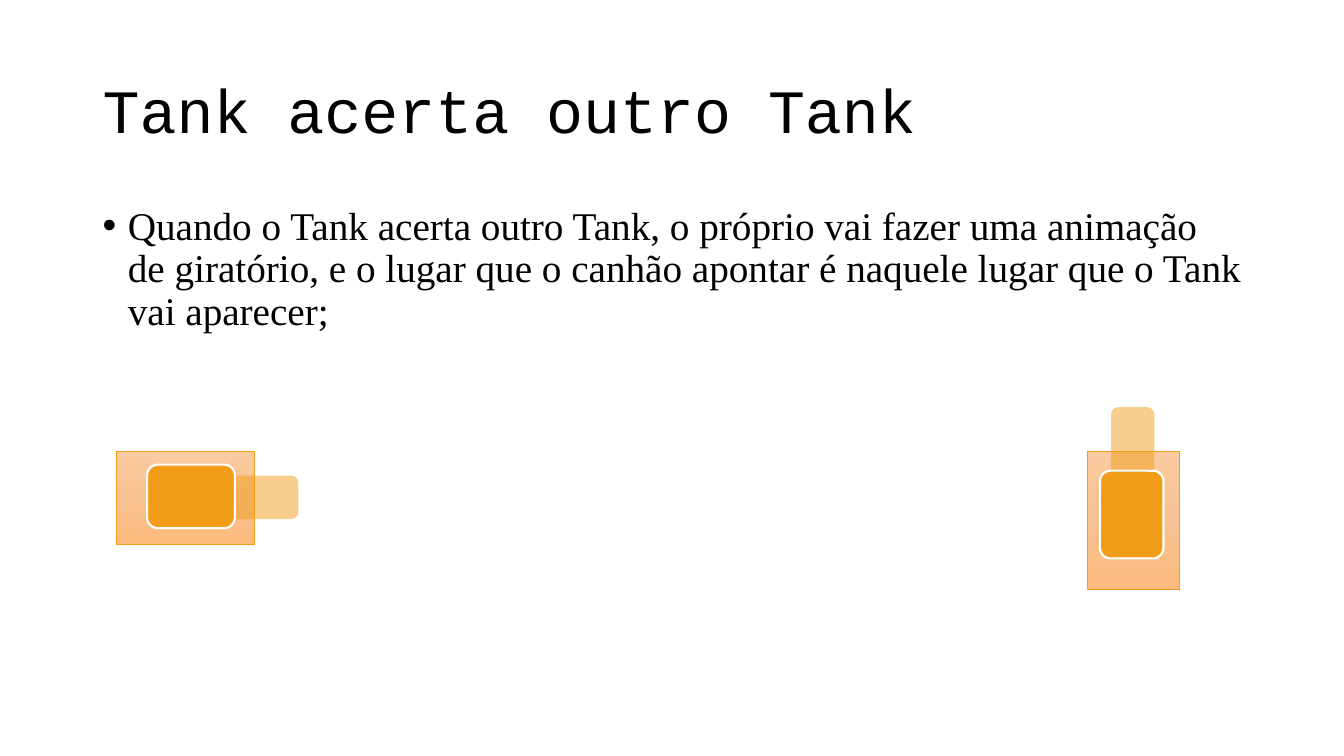
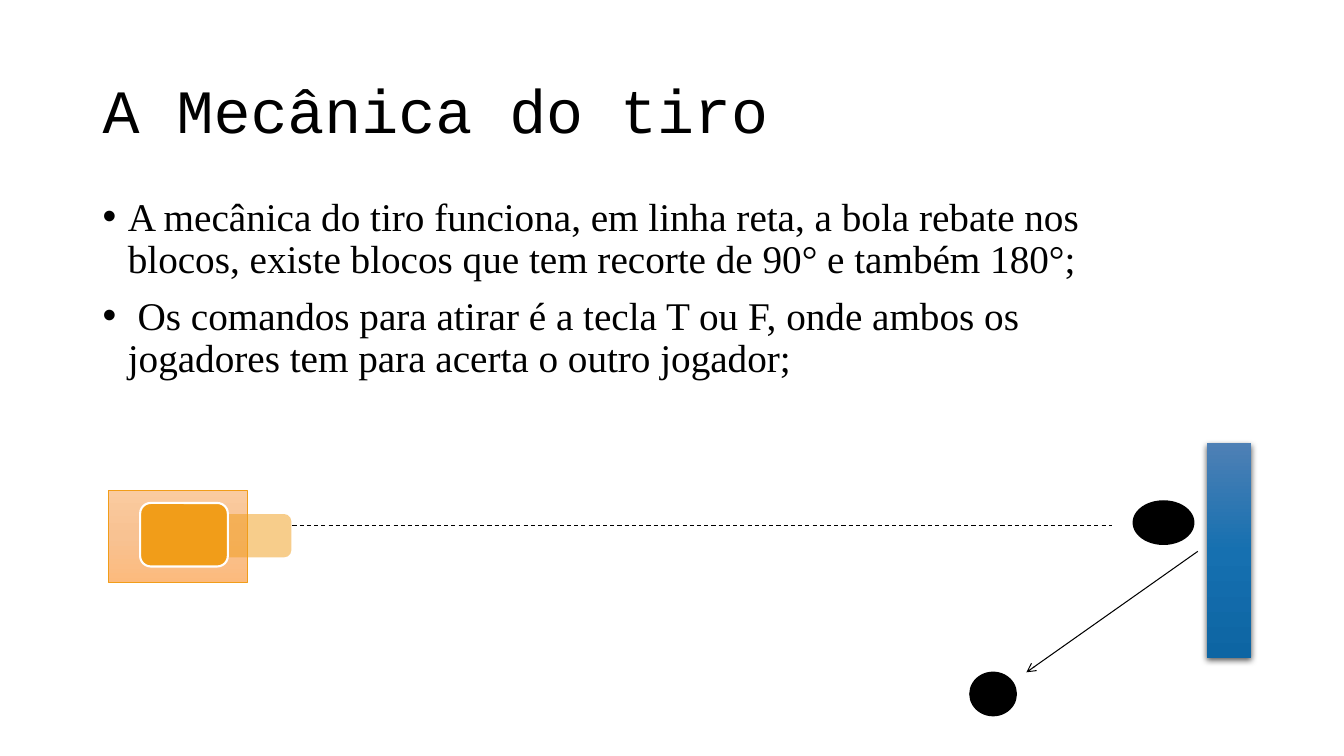
"""Build two slides on the tank game: being hit, and how a shot travels."""
from copy import deepcopy
from dataclasses import dataclass

from lxml import etree
from pptx import Presentation
from pptx.dml.color import RGBColor
from pptx.enum.dml import MSO_LINE
from pptx.enum.shapes import MSO_CONNECTOR, MSO_SHAPE
from pptx.enum.text import MSO_ANCHOR
from pptx.oxml.ns import qn
from pptx.util import Inches, Pt

RECT = MSO_SHAPE.RECTANGLE
ROUND = MSO_SHAPE.ROUNDED_RECTANGLE
OVAL = MSO_SHAPE.OVAL
STRAIGHT = MSO_CONNECTOR.STRAIGHT
DASH = MSO_LINE.DASH
TOP, MIDDLE = MSO_ANCHOR.TOP, MSO_ANCHOR.MIDDLE


@dataclass(frozen=True)
class Theme:
    """Colours, fonts and type sizes of the slides."""

    ink: str = "000000"
    white: str = "FFFFFF"
    orange: str = "F19D19"
    peach: tuple = ("FACBA0", "F8C292", "FCBA7D")
    blue: tuple = ("4E80B5", "1670B0", "0D65A3")
    head: str = "Courier New"
    body: str = "Times New Roman"
    large: int = 44
    small: int = 28


THEME = Theme()


def tint(color):
    """Return an RGB colour from its hex code."""
    return RGBColor.from_string(color)


def child(parent, tag, **attrs):
    """Add a drawing element with its attributes."""
    node = etree.SubElement(parent, qn(tag))
    for key, value in attrs.items():
        node.set(key, str(value))
    return node


def write(slide, box, lines, font=THEME.body, size=THEME.small,
          anchor=TOP, before=0, bullet=False):
    """Write paragraphs in a text box."""
    frame = slide.shapes.add_textbox(*map(Inches, box)).text_frame
    frame.word_wrap = True
    frame.vertical_anchor = anchor
    for index, line in enumerate(lines):
        para = frame.paragraphs[0] if index == 0 else frame.add_paragraph()
        para.line_spacing = 0.9
        para.space_before = Pt(before)
        run = para.add_run()
        run.text = line
        run.font.name = font
        run.font.size = Pt(size)
        run.font.color.rgb = tint(THEME.ink)
        if bullet:
            props = para._p.get_or_add_pPr()
            props.set("marL", str(Inches(0.25)))
            props.set("indent", str(Inches(-0.25)))
            child(props, "a:buFont", typeface="Arial")
            child(props, "a:buChar", char="•")


def blend(shape, colors):
    """Fill a shape with an even gradient from top to bottom."""
    shape.fill.gradient()
    shape.fill.gradient_angle = 270
    stops = shape._element.xpath(".//a:gsLst")[0]
    for _ in colors[2:]:
        stops.append(deepcopy(stops[-1]))
    for index, (stop, color) in enumerate(zip(shape.fill.gradient_stops, colors)):
        stop.position = index / (len(colors) - 1)
        stop.color.rgb = tint(color)


def draw(shapes, kind, box, fill, line=None, width=1, alpha=None):
    """Draw a shape with a plain or gradient fill."""
    shape = shapes.add_shape(kind, *map(Inches, box))
    shape.shadow.inherit = False
    if isinstance(fill, tuple):
        blend(shape, fill)
    else:
        shape.fill.solid()
        shape.fill.fore_color.rgb = tint(fill)
    if alpha:
        color = shape._element.xpath("./p:spPr/a:solidFill/a:srgbClr")[0]
        child(color, "a:alpha", val=alpha * 1000)
    if line:
        shape.line.color.rgb = tint(line)
        shape.line.width = Pt(width)
    else:
        shape.line.fill.background()
    return shape


def shade(shape):
    """Cast a soft shadow below a shape."""
    effects = shape._element.xpath("./p:spPr/a:effectLst")[0]
    shadow = child(effects, "a:outerShdw", blurRad=Pt(4.5), dist=Pt(1.5),
                   dir=5400000, algn="ctr", rotWithShape=0)
    color = child(shadow, "a:srgbClr", val=THEME.ink)
    child(color, "a:alpha", val=63000)


def link(slide, start, end, dash=None, arrow=False):
    """Draw a thin straight line between two points."""
    line = slide.shapes.add_connector(STRAIGHT, *map(Inches, start + end))
    line.line.color.rgb = tint(THEME.ink)
    line.line.width = Pt(0.75)
    if dash:
        line.line.dash_style = dash
    if arrow:
        child(line.line._get_or_add_ln(), "a:tailEnd", type="arrow")
    child(line._element.spPr, "a:effectLst")


def tank(slide, left, top, upright=False):
    """Draw a tank whose gun points right, or up when upright."""
    group = slide.shapes.add_group_shape().shapes
    length = 1.37

    def place(x, y, wide, high):
        """Place a part, given for a tank that points right."""
        if upright:
            return left + y, top + length - x - wide, high, wide
        return left + x, top + y, wide, high

    draw(group, RECT, place(0, 0, length, 0.92), THEME.peach, THEME.orange, 0.5)
    draw(group, ROUND, place(0.94, 0.24, 0.87, 0.43), THEME.orange, alpha=50)
    draw(group, ROUND, place(0.31, 0.13, 0.87, 0.63), THEME.orange, THEME.white, 1.5)


def ball(slide, left, top, wide):
    """Draw a black ball."""
    draw(slide.shapes, OVAL, (left, top, wide, 0.43), THEME.ink, THEME.ink)


def page(deck, title, box, lines):
    """Add a slide with a title and bullets."""
    slide = deck.slides.add_slide(deck.slide_layouts[6])
    write(slide, (0.92, 0.4, 11.5, 1.45), [title], font=THEME.head,
          size=THEME.large, anchor=MIDDLE)
    write(slide, box, lines, before=10, bullet=True)
    return slide


def main():
    """Build and save the slides."""
    deck = Presentation()
    deck.slide_width = Inches(13.33)
    deck.slide_height = Inches(7.5)

    hit = page(deck, "Tank acerta outro Tank", (0.92, 2, 11.5, 4.76), [
        "Quando o Tank acerta outro Tank, o próprio vai fazer uma animação de "
        "giratório, e o lugar que o canhão apontar é naquele lugar que o Tank "
        "vai aparecer;",
    ])
    tank(hit, 1.15, 4.48)
    tank(hit, 10.78, 4.48, upright=True)

    shot = page(deck, "A Mecânica do tiro", (0.92, 1.91, 10.63, 3.72), [
        "A mecânica do tiro funciona, em linha reta, a bola rebate nos blocos, "
        "existe blocos que tem recorte de 90° e também 180°;",
        " Os comandos para atirar é a tecla T ou F, onde ambos os jogadores "
        "tem para acerta o outro jogador;",
    ])
    tank(shot, 1.08, 4.86)
    link(shot, (2.9, 5.21), (11.03, 5.21), dash=DASH)
    ball(shot, 11.24, 4.97, 0.6)
    shade(draw(shot.shapes, RECT, (11.97, 4.4, 0.44, 2.13), THEME.blue))
    link(shot, (11.88, 5.47), (10.18, 6.67), arrow=True)
    ball(shot, 9.62, 6.67, 0.46)

    deck.save("out.pptx")


if __name__ == "__main__":
    main()
